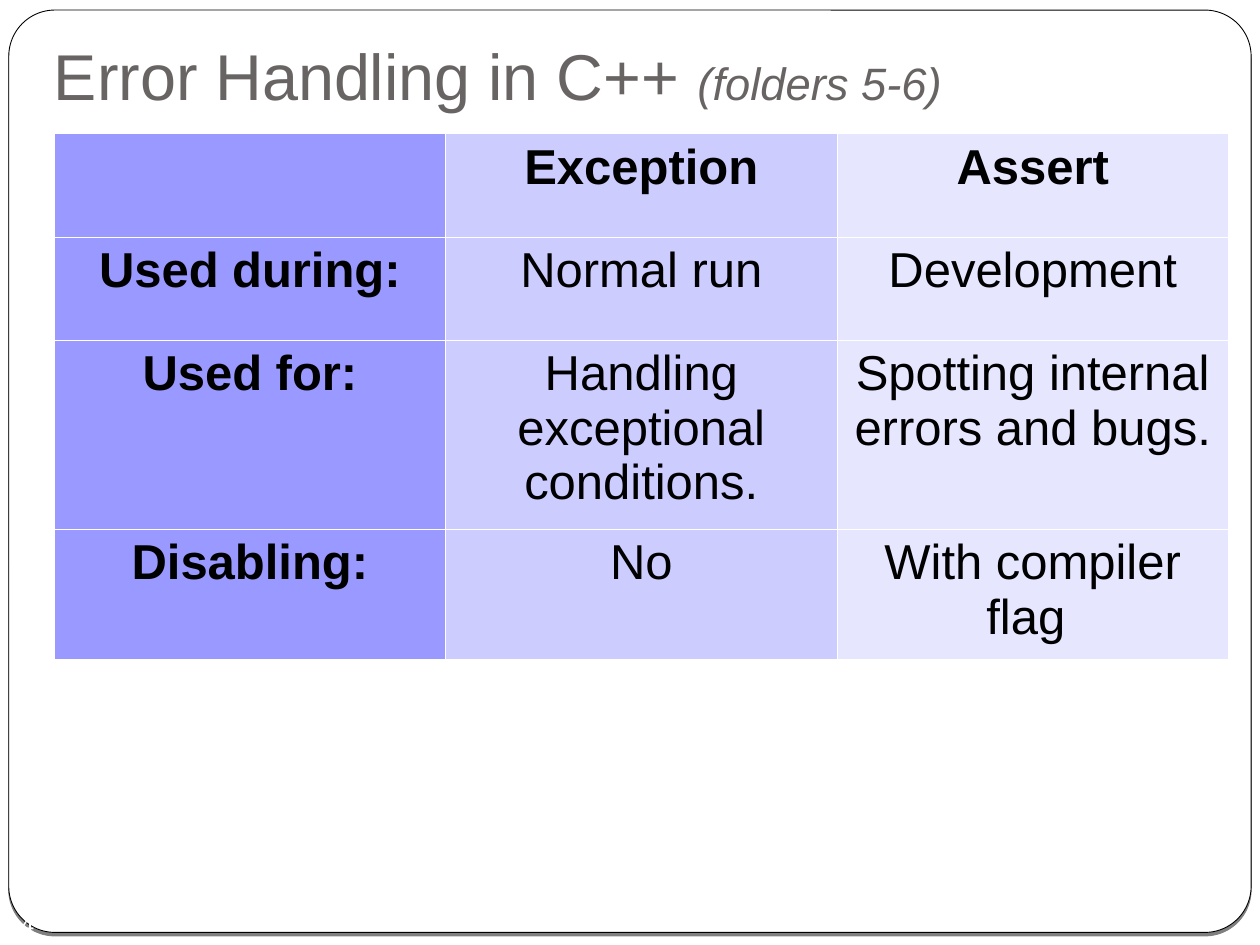
from dataclasses import dataclass

from lxml import etree
from pptx import Presentation
from pptx import util as u
from pptx.dml.color import RGBColor
from pptx.enum import shapes, text
from pptx.oxml import parse_xml
from pptx.oxml.ns import nsdecls, qn


@dataclass(frozen=True)
class Theme:
    font: str = "Arial"
    paper: str = "FFFFFF"
    ink: str = "000000"
    title: str = "696464"
    columns: tuple = ("9999FF", "CCCCFF", "E6E6FF")
    title_size: float = 37
    subtitle_size: float = 25.9
    table_size: float = 28
    number_size: float = 14
    frame_line: float = 0.5
    cell_line: float = 0.06


THEME = Theme()
WIDTH, HEIGHT = u.Inches(10), u.Inches(7.5)

ROWS = [
    ["", "Exception", "Assert"],
    ["Used during:", "Normal run", "Development"],
    ["Used for:", "Handling exceptional conditions.", "Spotting internal errors and bugs."],
    ["Disabling:", "No", "With compiler flag "],
]


def box(left, top, width, height):
    """Turn inches into a left, top, width, height tuple."""
    return tuple(u.Inches(length) for length in (left, top, width, height))


def style_run(run, size, color, bold=False, italic=False):
    font = run.font
    font.name, font.size = THEME.font, u.Pt(size)
    font.bold, font.italic = bold, italic
    font.color.rgb = RGBColor.from_string(color)


def add_text_box(slide, area, insets, anchor):
    frame = slide.shapes.add_textbox(*area).text_frame
    frame.word_wrap = True
    frame.vertical_anchor = anchor
    frame.margin_left, frame.margin_top, frame.margin_right, frame.margin_bottom = (
        u.Inches(inset) for inset in insets)
    return frame.paragraphs[0]


def add_frame(slide, area):
    """Rounded page frame with a soft drop below it."""
    frame = slide.shapes.add_shape(shapes.MSO_SHAPE.ROUNDED_RECTANGLE, *area)
    frame.adjustments[0] = 0.05
    frame.fill.solid()
    frame.fill.fore_color.rgb = RGBColor.from_string(THEME.paper)
    frame.line.color.rgb = RGBColor.from_string(THEME.ink)
    frame.line.width = u.Pt(THEME.frame_line)
    frame.shadow.inherit = False
    effects = frame.element.spPr.find(qn("a:effectLst"))
    effects.append(parse_xml(
        f'<a:outerShdw {nsdecls("a")} blurRad="0" dist="{u.Pt(2)}" dir="5400000">'
        f'<a:srgbClr val="{THEME.ink}"><a:alpha val="50000"/></a:srgbClr></a:outerShdw>'))


def add_title(slide, area):
    paragraph = add_text_box(slide, area, (0.1, 0.05, 0.1, 0.1), text.MSO_ANCHOR.BOTTOM)
    paragraph.line_spacing = 0.8
    for words, size, italic in (("Error Handling in C++ ", THEME.title_size, False),
                                ("(folders 5-6)", THEME.subtitle_size, True)):
        run = paragraph.add_run()
        run.text = words
        style_run(run, size, THEME.title, italic=italic)


def add_page_number(slide, area, number):
    paragraph = add_text_box(slide, area, (0, 0, 0, 0), text.MSO_ANCHOR.MIDDLE)
    paragraph.text = number
    paragraph.alignment = text.PP_ALIGN.CENTER
    style_run(paragraph.runs[0], THEME.number_size, THEME.paper)


def set_borders(cell):
    properties = cell._tc.get_or_add_tcPr()
    for index, side in enumerate(("lnL", "lnR", "lnT", "lnB")):
        line = etree.Element(qn(f"a:{side}"), w=str(u.Pt(THEME.cell_line)))
        fill = etree.SubElement(line, qn("a:solidFill"))
        etree.SubElement(fill, qn("a:srgbClr"), val=THEME.paper)
        properties.insert(index, line)


def add_comparison(slide, area):
    """Table with equal columns; its rows grow with their text."""
    table = slide.shapes.add_table(len(ROWS), len(ROWS[0]), *area).table
    for row, words in enumerate(ROWS):
        for column, color in enumerate(THEME.columns):
            cell = table.cell(row, column)
            cell.fill.solid()
            cell.fill.fore_color.rgb = RGBColor.from_string(color)
            set_borders(cell)
            cell.text_frame.text = words[column]
            paragraph = cell.text_frame.paragraphs[0]
            paragraph.alignment = text.PP_ALIGN.CENTER
            for run in paragraph.runs:
                style_run(run, THEME.table_size, THEME.ink, bold=row == 0 or column == 0)


def main():
    presentation = Presentation()
    presentation.slide_width, presentation.slide_height = WIDTH, HEIGHT
    slide = presentation.slides.add_slide(presentation.slide_layouts[6])
    slide.background.fill.solid()
    slide.background.fill.fore_color.rgb = RGBColor.from_string(THEME.paper)

    add_frame(slide, box(0.07, 0.08, 9.86, 7.32))
    add_title(slide, box(0.33, 0.3, 9.33, 0.7))
    add_page_number(slide, box(0, 7.17, 0.33, 0.33), "14")
    add_comparison(slide, box(0.43, 1.06, 9.32, 4 * 0.82))
    presentation.save("out.pptx")


if __name__ == "__main__":
    main()
